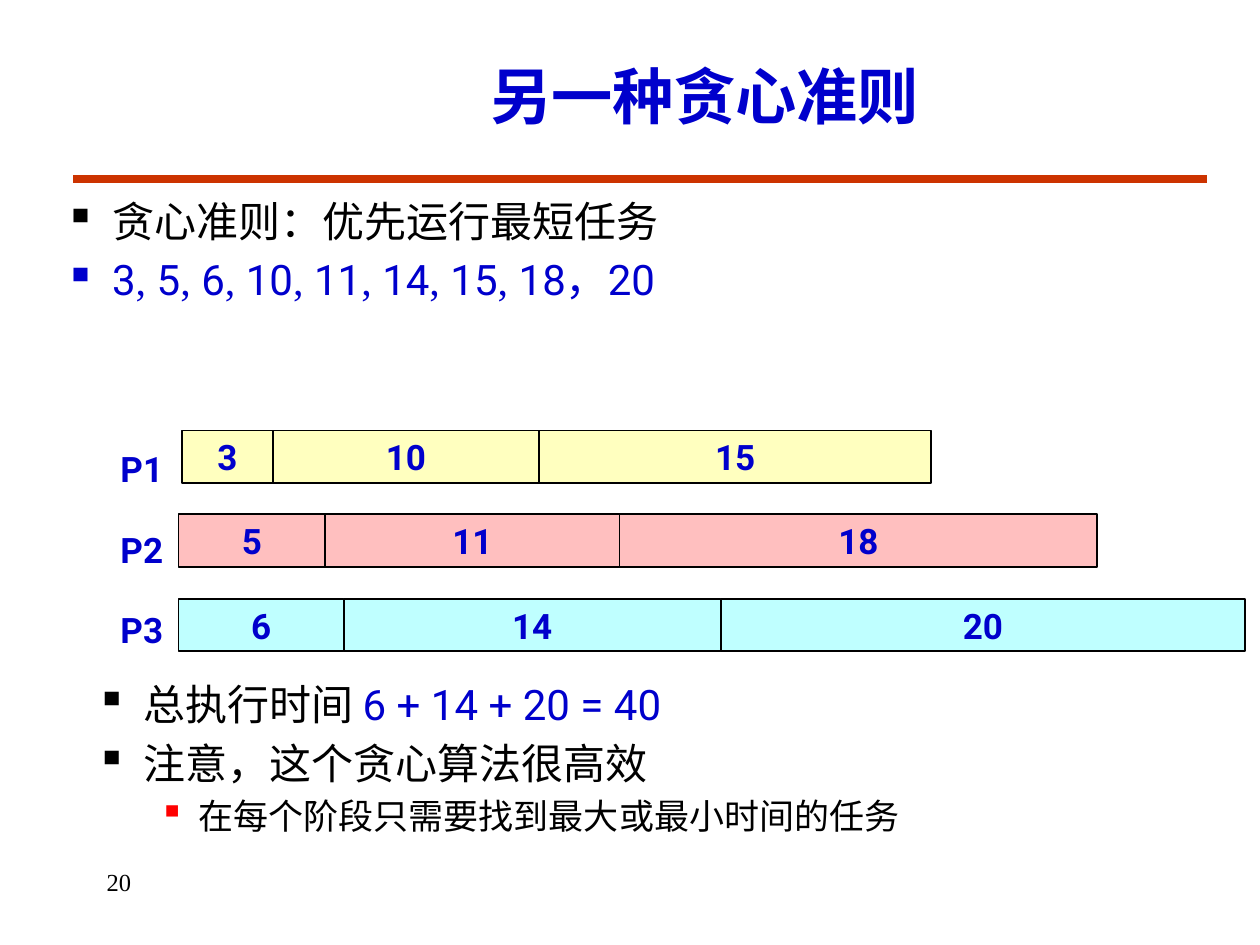
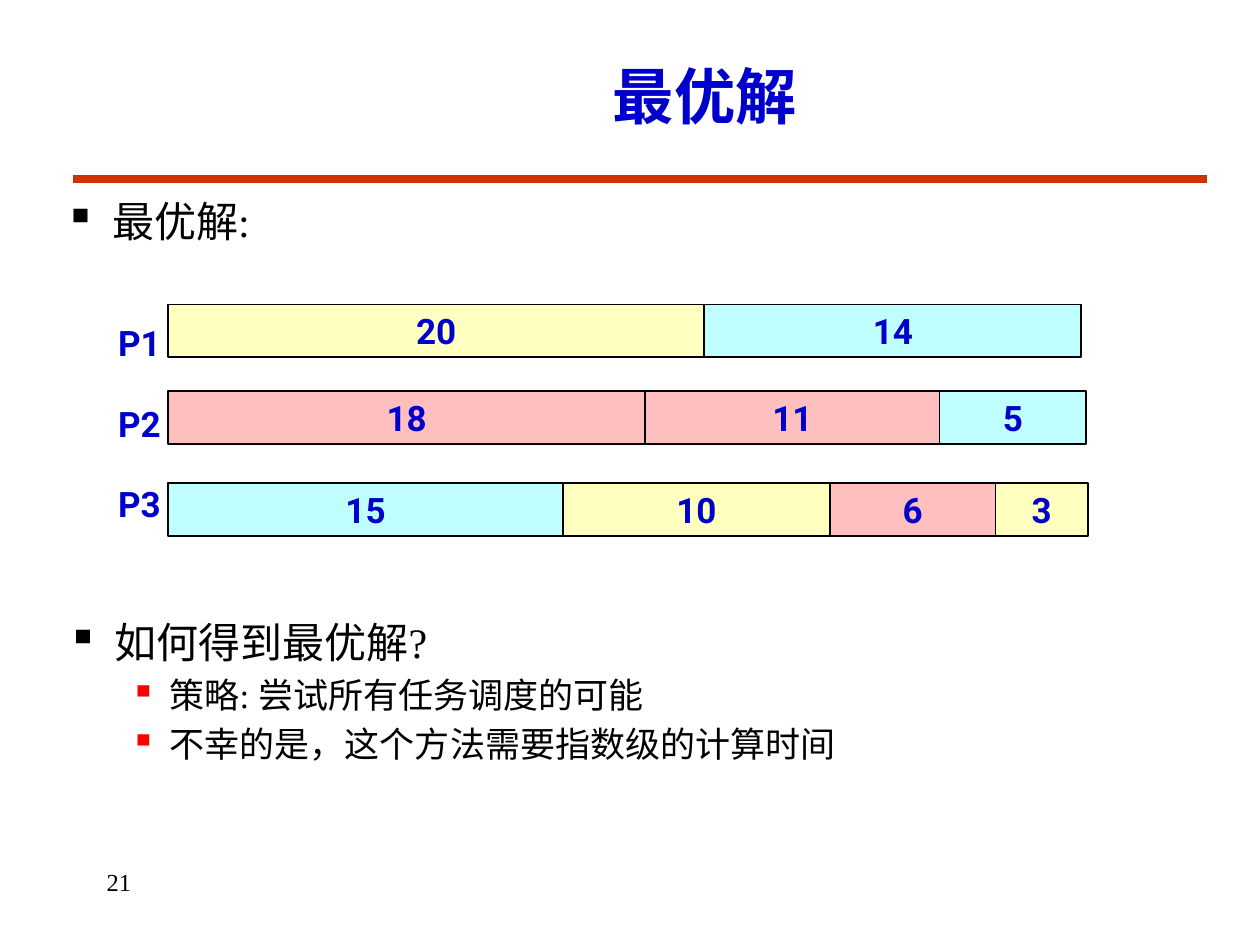
from dataclasses import dataclass
from itertools import pairwise

from lxml.etree import SubElement
from pptx import Presentation
from pptx.dml.color import RGBColor
from pptx.enum.shapes import MSO_CONNECTOR, MSO_SHAPE
from pptx.enum.text import MSO_ANCHOR as Anchor, PP_ALIGN as Align
from pptx.oxml.ns import qn
from pptx.util import Cm, Pt


@dataclass(frozen=True)
class Theme:
    blue: str = "0000CC"
    black: str = "000000"
    rule: str = "CC3300"
    red: str = "FF0000"
    serif: str = "Times New Roman"
    sans: str = "Roboto"
    title: int = 35
    body: int = 24
    detail: int = 20
    bar: int = 20
    number: int = 14


THEME = Theme()
YELLOW, PINK, CYAN = "FFFFBF", "FFBFBF", "BFFFFF"

# Content: bullets are (level, text or runs); a run is (text, font)
SORTED_TIMES = ["3", "5", "6", "10", "11", "14", "15", "18，20"]
TIME_RUNS = [(SORTED_TIMES[0], THEME.sans)]
for time in SORTED_TIMES[1:]:
    TIME_RUNS += [(", ", THEME.serif), (time, THEME.sans)]

# Bars are (top, edges, tasks); tops, edges and boxes are in centimetres
SLIDES = [
    {
        "number": 20,
        "title": "另一种贪心准则",
        "bodies": [
            ((1.06, 3.81, 23.81, 3.97), [
                (0, "贪心准则：优先运行最短任务"),
                (0, TIME_RUNS),
            ]),
            ((1.69, 13.55, 21.8, 5.08), [
                (0, [("总执行时间 ", THEME.serif), ("6 + 14 + 20 = 40", THEME.sans)]),
                (0, "注意，这个贪心算法很高效"),
                (1, "在每个阶段只需要找到最大或最小时间的任务"),
            ]),
        ],
        "labels": (2.18, 8.48),
        "bars": [
            (8.68, [3.67, 5.5, 10.87, 18.77], [(3, YELLOW), (10, YELLOW), (15, YELLOW)]),
            (10.37, [3.6, 6.56, 12.49, 22.12], [(5, PINK), (11, PINK), (18, PINK)]),
            (12.07, [3.6, 6.93, 14.53, 25.1], [(6, CYAN), (14, CYAN), (20, CYAN)]),
        ],
    },
    {
        "number": 21,
        "title": "最优解",
        "bodies": [
            ((1.06, 3.81, 23.81, 1.48), [(0, "最优解:")]),
            ((1.11, 12.3, 23.81, 5.87), [
                (0, "如何得到最优解?"),
                (1, "策略: 尝试所有任务调度的可能"),
                (1, "不幸的是，这个方法需要指数级的计算时间"),
            ]),
        ],
        "labels": (2.13, 5.94),
        "bars": [
            (6.14, [3.39, 14.2, 21.8], [(20, YELLOW), (14, CYAN)]),
            (7.89, [3.39, 13.01, 18.94, 21.9], [(18, PINK), (11, PINK), (5, CYAN)]),
            (9.74, [3.39, 11.35, 16.73, 20.07, 21.93],
             [(15, CYAN), (10, YELLOW), (6, PINK), (3, YELLOW)]),
        ],
    },
]
PROCESSORS = ["P1", "P2", "P3"]
BAR_HEIGHT = 1.06


def color(value):
    return RGBColor.from_string(value)


def style(font, name, size, tint, bold=False):
    font.name, font.size, font.bold = name, Pt(size), bold
    font.color.rgb = color(tint)


def add_text_box(slide, box, wrap=True):
    frame = slide.shapes.add_textbox(*map(Cm, box)).text_frame
    frame.word_wrap = wrap
    return frame


def paragraphs(frame, items):
    """Yield a paragraph for each item, reusing the first empty one."""
    for index, item in enumerate(items):
        yield index, frame.paragraphs[0] if index == 0 else frame.add_paragraph(), item


def set_bullet(paragraph, level, tint):
    properties = paragraph._p.get_or_add_pPr()
    margin, hanging = [(0.95, 0.95), (2.06, 0.79)][level]
    properties.set("marL", str(Cm(margin)))
    properties.set("indent", str(-Cm(hanging)))
    bullet_color = SubElement(properties, qn("a:buClr"))
    SubElement(bullet_color, qn("a:srgbClr"), val=tint)
    SubElement(properties, qn("a:buChar"), char="▪")


def add_frame(slide, title, number):
    """Title, rule and page number shared by the slides."""
    rule = slide.shapes.add_connector(
        MSO_CONNECTOR.STRAIGHT, Cm(1.48), Cm(3.6), Cm(24.34), Cm(3.6))
    rule.line.color.rgb = color(THEME.rule)
    rule.line.width = Pt(4.5)
    SubElement(rule._element.spPr, qn("a:effectLst"))

    frame = add_text_box(slide, (3.39, 0.85, 21.64, 2.12))
    frame.vertical_anchor = Anchor.MIDDLE
    paragraph = frame.paragraphs[0]
    paragraph.text = title
    paragraph.alignment = Align.CENTER
    style(paragraph.font, THEME.serif, THEME.title, THEME.blue, bold=True)

    paragraph = add_text_box(slide, (1.9, 17.36, 5.29, 1.27)).paragraphs[0]
    paragraph.text = str(number)
    style(paragraph.font, THEME.serif, THEME.number, THEME.black)


def add_body(slide, box, bullets):
    frame = add_text_box(slide, box)
    for index, paragraph, (level, content) in paragraphs(frame, bullets):
        runs = [(content, THEME.serif)] if isinstance(content, str) else content
        size = THEME.detail if level else THEME.body
        first_tint = THEME.blue if runs[0][1] == THEME.sans else THEME.black
        paragraph.level = level
        set_bullet(paragraph, level, THEME.red if level else first_tint)
        if index:
            paragraph.space_before = Pt(size * 0.2)
        style(paragraph.font, runs[0][1], size, first_tint)
        for text, name in runs:
            run = paragraph.add_run()
            run.text = text
            if len(runs) > 1:
                tint = THEME.blue if first_tint == THEME.blue or name == THEME.sans else THEME.black
                style(run.font, name, size, tint)


def add_schedule(slide, bars, labels):
    # Task bars, one row per processor
    for top, edges, tasks in bars:
        for (left, right), (time, fill) in zip(pairwise(edges), tasks):
            shape = slide.shapes.add_shape(
                MSO_SHAPE.RECTANGLE, Cm(left), Cm(top), Cm(right - left), Cm(BAR_HEIGHT))
            shape.shadow.inherit = False
            shape.fill.solid()
            shape.fill.fore_color.rgb = color(fill)
            shape.line.color.rgb = color(THEME.black)
            shape.line.width = Pt(1)
            shape.text_frame.vertical_anchor = Anchor.MIDDLE
            paragraph = shape.text_frame.paragraphs[0]
            paragraph.text = str(time)
            paragraph.alignment = Align.CENTER
            style(paragraph.font, THEME.sans, THEME.bar, THEME.blue, bold=True)

    # Processor labels
    frame = add_text_box(slide, (*labels, 1.68, 4.8))
    for index, paragraph, name in paragraphs(frame, PROCESSORS):
        paragraph.text = name
        paragraph.line_spacing = 1.5
        if index:
            paragraph.space_before = Pt(THEME.bar * 0.5)
        style(paragraph.font, THEME.sans, THEME.bar, THEME.blue, bold=True)


def main():
    presentation = Presentation()
    presentation.slide_width, presentation.slide_height = Cm(25.4), Cm(19.05)
    for content in SLIDES:
        slide = presentation.slides.add_slide(presentation.slide_layouts[6])
        add_frame(slide, content["title"], content["number"])
        for box, bullets in content["bodies"]:
            add_body(slide, box, bullets)
        add_schedule(slide, content["bars"], content["labels"])
    presentation.save("out.pptx")


if __name__ == "__main__":
    main()
